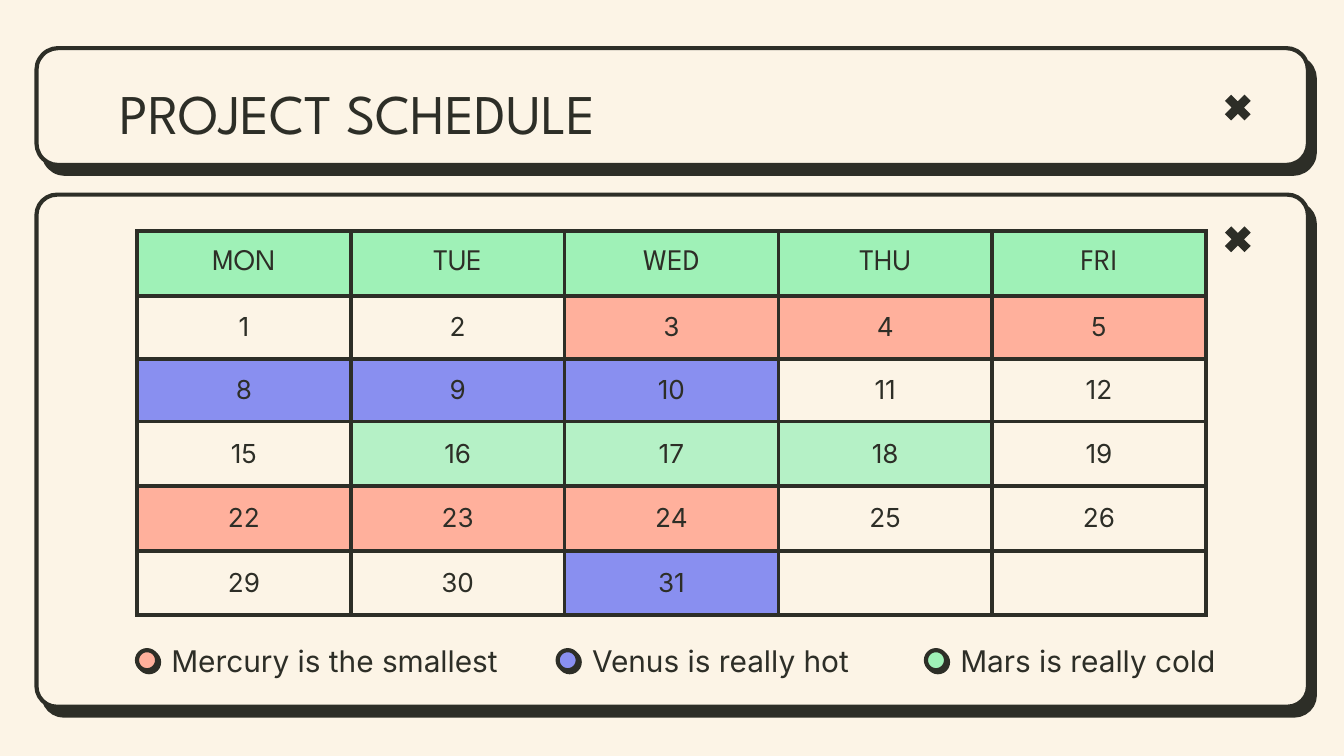
from lxml import etree
from pptx import Presentation
from pptx.dml.color import RGBColor
from pptx.enum.shapes import MSO_SHAPE
from pptx.enum.text import MSO_ANCHOR, PP_ALIGN
from pptx.oxml.ns import qn
from pptx.util import Cm, Pt

ROUND_RECT = MSO_SHAPE.ROUNDED_RECTANGLE
CROSS = MSO_SHAPE.MATH_MULTIPLY
OVAL = MSO_SHAPE.OVAL
TOP, MIDDLE = MSO_ANCHOR.TOP, MSO_ANCHOR.MIDDLE
LEFT, CENTER = PP_ALIGN.LEFT, PP_ALIGN.CENTER

INK, CREAM = "2D2E27", "FCF4E6"
CORAL, VIOLET, GREEN, MINT = "FFB09C", "898FF0", "9FF1B7", "B5F1C6"
LINE_WIDTH = 2.25
INSET = Cm(0.25)
MARGINS = dict.fromkeys(
    ("margin_left", "margin_right", "margin_top", "margin_bottom"), INSET
)
TITLE_FONT = {"name": "League Spartan", "size": Pt(30)}
HEAD_FONT = {"name": "League Spartan", "size": Pt(16)}
DAY_FONT = {"name": "Inter", "size": Pt(14)}
LEGEND_FONT = {"name": "Inter", "size": Pt(16)}

DAYS = ["MON", "TUE", "WED", "THU", "FRI"]
ROW_HEIGHTS = [1.22, 1.19, 1.19, 1.22, 1.22, 1.22]
COLUMN_WIDTH = 4.04
LAST_DATE = 31
TASKS = [
    (3, 5, CORAL),
    (8, 10, VIOLET),
    (16, 18, MINT),
    (22, 24, CORAL),
    (31, 31, VIOLET),
]
LEGEND = [
    (0, 6.96, CORAL, "Mercury is the smallest"),
    (7.95, 6.4, VIOLET, "Venus is really hot"),
    (14.91, 6.4, GREEN, "Mars is really cold"),
]


def rgb(value):
    return RGBColor.from_string(value)


def apply(target, values):
    for name, value in values.items():
        setattr(target, name, value)


def write(p, text, font, align):
    p.alignment = align
    r = p.add_run()
    r.text = text
    apply(r.font, font)
    r.font.color.rgb = rgb(INK)


def add_text(s, box, text, font, anchor):
    tf = s.shapes.add_textbox(*map(Cm, box)).text_frame
    apply(tf, MARGINS | {"word_wrap": True, "vertical_anchor": anchor})
    write(tf.paragraphs[0], text, font, LEFT)


def add_shape(s, kind, box, fill, adjustment=None, shadow=None):
    sp = s.shapes.add_shape(kind, *map(Cm, box))
    sp.shadow.inherit = False
    sp.fill.solid()
    sp.fill.fore_color.rgb = rgb(fill)
    if adjustment is not None:
        sp.adjustments[0] = adjustment
    if shadow is None:
        sp.line.fill.background()
        return
    sp.line.color.rgb = rgb(INK)
    sp.line.width = Pt(LINE_WIDTH)
    distance, angle = shadow
    effects = sp._element.spPr.find(qn("a:effectLst"))
    outer = etree.SubElement(
        effects, qn("a:outerShdw"), blurRad="0", dist=str(Pt(distance)),
        dir=str(angle * 60000), algn="bl", rotWithShape="0",
    )
    etree.SubElement(outer, qn("a:srgbClr"), val=INK)


def add_panel(s, box, corner, cross_top):
    left, top, width, _ = box
    add_shape(s, ROUND_RECT, box, CREAM, corner, (6, 52))
    cross = (left + width - 1.68, top + cross_top, 0.71, 0.71)
    add_shape(s, CROSS, cross, INK, 0.235)


def add_header(s, box):
    left, top, width, height = box
    add_panel(s, box, 0.186, 0.77)
    title = (left + 1.32, top + 0.33, width - 2.62, height - 0.61)
    add_text(s, title, "PROJECT SCHEDULE", TITLE_FONT, TOP)


def add_borders(cell):
    tcPr = cell._tc.get_or_add_tcPr()
    for side in ("lnL", "lnR", "lnT", "lnB"):
        ln = etree.SubElement(tcPr, qn(f"a:{side}"), w=str(Pt(LINE_WIDTH)))
        fill = etree.SubElement(ln, qn("a:solidFill"))
        etree.SubElement(fill, qn("a:srgbClr"), val=INK)


def format_cell(cell, text, font, fill):
    add_borders(cell)
    cell.vertical_anchor = MIDDLE
    apply(cell, MARGINS if text else dict.fromkeys(MARGINS, 0))
    if fill:
        cell.fill.solid()
        cell.fill.fore_color.rgb = rgb(fill)
    else:
        cell.fill.background()
    if text:
        write(cell.text_frame.paragraphs[0], text, font, CENTER)


def add_calendar(s, left, top):
    size = (len(DAYS) * COLUMN_WIDTH, sum(ROW_HEIGHTS))
    table = s.shapes.add_table(
        len(ROW_HEIGHTS), len(DAYS), *map(Cm, (left, top, *size))
    ).table
    apply(table, {"first_row": False, "horz_banding": False})
    for column in table.columns:
        column.width = Cm(COLUMN_WIDTH)
    for row, height in zip(table.rows, ROW_HEIGHTS):
        row.height = Cm(height)
    colors = {
        date: color
        for first, last, color in TASKS
        for date in range(first, last + 1)
    }
    for col, day in enumerate(DAYS):
        format_cell(table.cell(0, col), day, HEAD_FONT, GREEN)
        for week in range(1, len(ROW_HEIGHTS)):
            date = 7 * (week - 1) + col + 1
            text = str(date) if date <= LAST_DATE else ""
            format_cell(table.cell(week, col), text, DAY_FONT, colors.get(date))


def add_legend(s, left, top):
    for offset, width, color, text in LEGEND:
        x = left + offset
        add_shape(s, OVAL, (x, top, 0.38, 0.38), color, shadow=(1.5, 45))
        add_text(s, (x + 0.4, top - 0.13, width, 0.66), text, LEGEND_FONT, MIDDLE)


def add_schedule(s, box):
    left, top, _, height = box
    add_panel(s, box, 0.04, 0.49)
    add_calendar(s, left + 1.9, top + 0.69)
    add_legend(s, left + 1.9, top + height - 1.07)


def main():
    prs = Presentation()
    apply(prs, {"slide_width": Cm(25.4), "slide_height": Cm(14.29)})
    s = prs.slides.add_slide(prs.slide_layouts[6])
    s.background.fill.solid()
    s.background.fill.fore_color.rgb = rgb(CREAM)
    add_header(s, (0.69, 0.91, 24.03, 2.21))
    add_schedule(s, (0.69, 3.68, 24.03, 9.68))
    prs.save("out.pptx")


if __name__ == "__main__":
    main()
